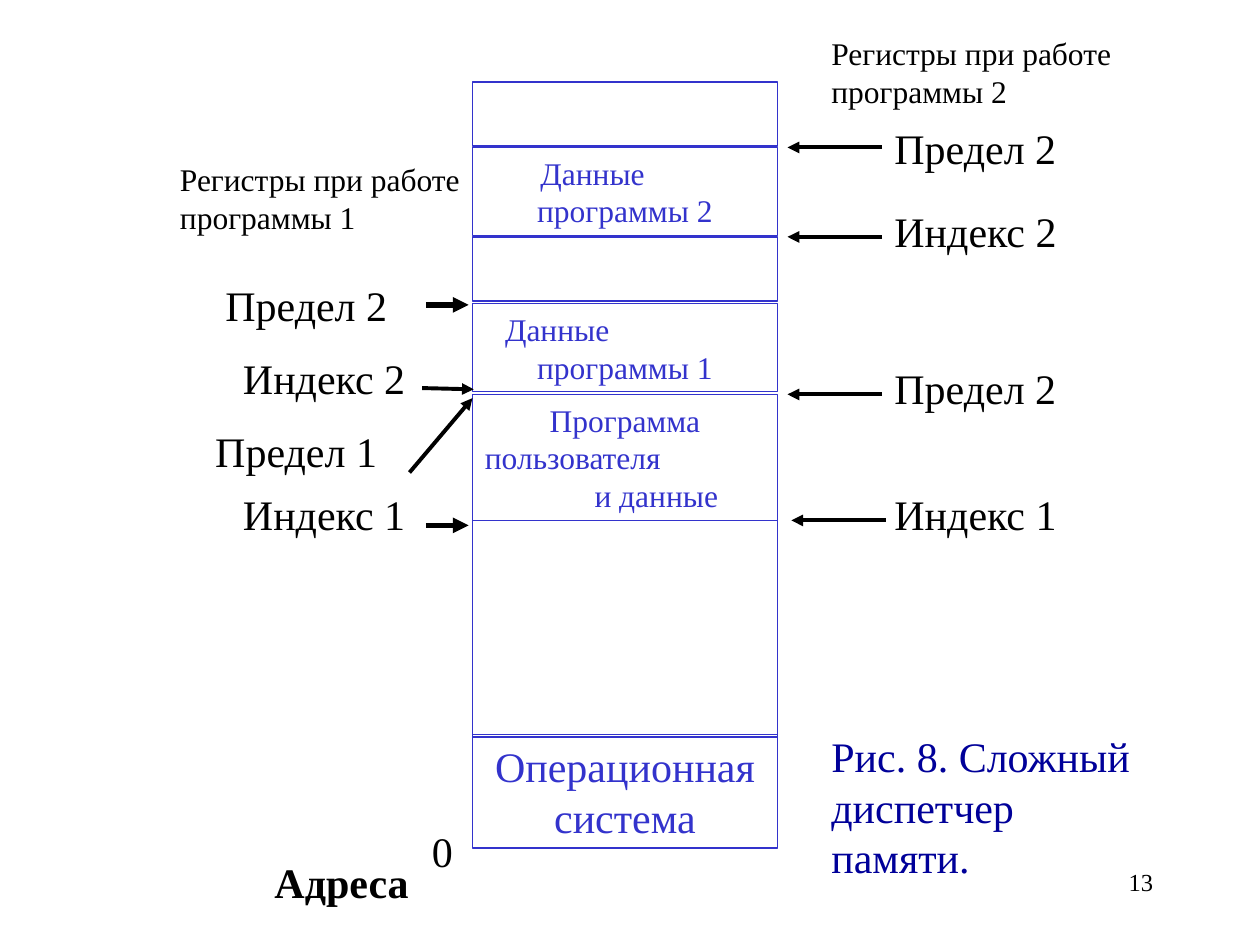
from lxml.etree import SubElement
from pptx import Presentation
from pptx.dml.color import RGBColor
from pptx.enum.shapes import MSO_CONNECTOR, MSO_SHAPE
from pptx.enum.text import MSO_ANCHOR, PP_ALIGN
from pptx.oxml.ns import qn
from pptx.util import Inches, Pt

COLORS = {"text": "000000", "memory": "3333CC", "caption": "000099"}
FONT = "Times New Roman"
MEMORY_LEFT, MEMORY_WIDTH = 3.75, 2.42


def write(tf, text, size=24, color="text", bold=False, align=PP_ALIGN.LEFT, indents=None):
    tf.word_wrap = True
    tf.vertical_anchor = MSO_ANCHOR.TOP
    lines = text.split("\n")
    for i, line in enumerate(lines):
        p = tf.paragraphs[0] if i == 0 else tf.add_paragraph()
        p.alignment = align
        indent = indents[i] if indents else None
        if indent is not None:
            p.alignment = PP_ALIGN.LEFT
            p._p.get_or_add_pPr().set("marL", str(Inches(indent)))
        r = p.add_run()
        r.text = line
        r.font.name = FONT
        r.font.size = Pt(size)
        r.font.bold = bold
        r.font.color.rgb = RGBColor.from_string(COLORS[color])


class MemorySlide:
    """Draws memory blocks, labels and arrows on one slide."""

    def __init__(self, prs):
        self.s = prs.slides.add_slide(prs.slide_layouts[6])

    def label(self, x, y, w, h, text, **fmt):
        sp = self.s.shapes.add_textbox(Inches(x), Inches(y), Inches(w), Inches(h))
        write(sp.text_frame, text, **fmt)

    def block(self, y, h, text="", **fmt):
        sp = self.s.shapes.add_shape(
            MSO_SHAPE.RECTANGLE, Inches(MEMORY_LEFT), Inches(y), Inches(MEMORY_WIDTH), Inches(h))
        sp.shadow.inherit = False
        sp.fill.background()
        sp.line.color.rgb = RGBColor.from_string(COLORS["memory"])
        sp.line.width = Pt(0.75)
        if text:
            write(sp.text_frame, text, color="memory", align=PP_ALIGN.CENTER, **fmt)

    def arrow(self, x1, y1, x2, y2, width=2.25):
        sp = self.s.shapes.add_connector(
            MSO_CONNECTOR.STRAIGHT, Inches(x1), Inches(y1), Inches(x2), Inches(y2))
        sp.line.color.rgb = RGBColor.from_string(COLORS["text"])
        sp.line.width = Pt(width)
        SubElement(sp.line._get_or_add_ln(), qn("a:tailEnd"), type="triangle")
        SubElement(sp._element.spPr, qn("a:effectLst"))


def main():
    prs = Presentation()
    prs.slide_width, prs.slide_height = Inches(10), Inches(7.5)
    slide = MemorySlide(prs)

    slide.block(5.83, 0.9, "Операционная\nсистема")
    slide.block(4.13, 1.72)
    slide.block(3.13, 1, "Программа\nпользователя\nи данные", size=18, indents=(None, 0, 0.87))
    slide.block(2.41, 0.7, "Данные\nпрограммы 1", size=18, indents=(0.16, None))
    slide.block(1.88, 0.51)
    slide.block(1.17, 0.7, "Данные\nпрограммы 2", size=18, indents=(0.44, None))
    slide.block(0.65, 0.51)

    for x, y, text in [
        (1.69, 2.17, "Предел 2"), (1.83, 2.75, "Индекс 2"),
        (1.61, 3.33, "Предел 1"), (1.83, 3.83, "Индекс 1"),
        (7, 0.92, "Предел 2"), (7, 1.58, "Индекс 2"),
        (7, 2.83, "Предел 2"), (7, 3.83, "Индекс 1"),
    ]:
        slide.label(x, y, 1.67, 0.5, text)

    for x, y, number in [(1.33, 1.22, 1), (6.5, 0.22, 2)]:
        slide.label(x, y, 2.75, 0.7, f"Регистры при работе программы {number}", size=18)

    slide.label(3.33, 6.5, 0.92, 0.5, "0")
    slide.label(2.08, 6.75, 2.08, 0.5, "Адреса", bold=True)
    slide.label(6.5, 5.75, 2.58, 1.3, "Рис. 8. Сложный диспетчер памяти.", color="caption")
    slide.label(7.17, 6.83, 2.08, 0.5, "13", size=14, align=PP_ALIGN.RIGHT)

    for y in (2.42, 4.17):
        slide.arrow(3.38, y, 3.72, y, width=3)
    slide.arrow(3.35, 3.08, 3.76, 3.09)
    slide.arrow(3.25, 3.75, 3.75, 3.16)
    for x, y in [(7, 1.17), (7, 1.88), (7, 3.13), (7.03, 4.13)]:
        slide.arrow(x, y, x - 0.75, y)

    prs.save("out.pptx")


if __name__ == "__main__":
    main()
